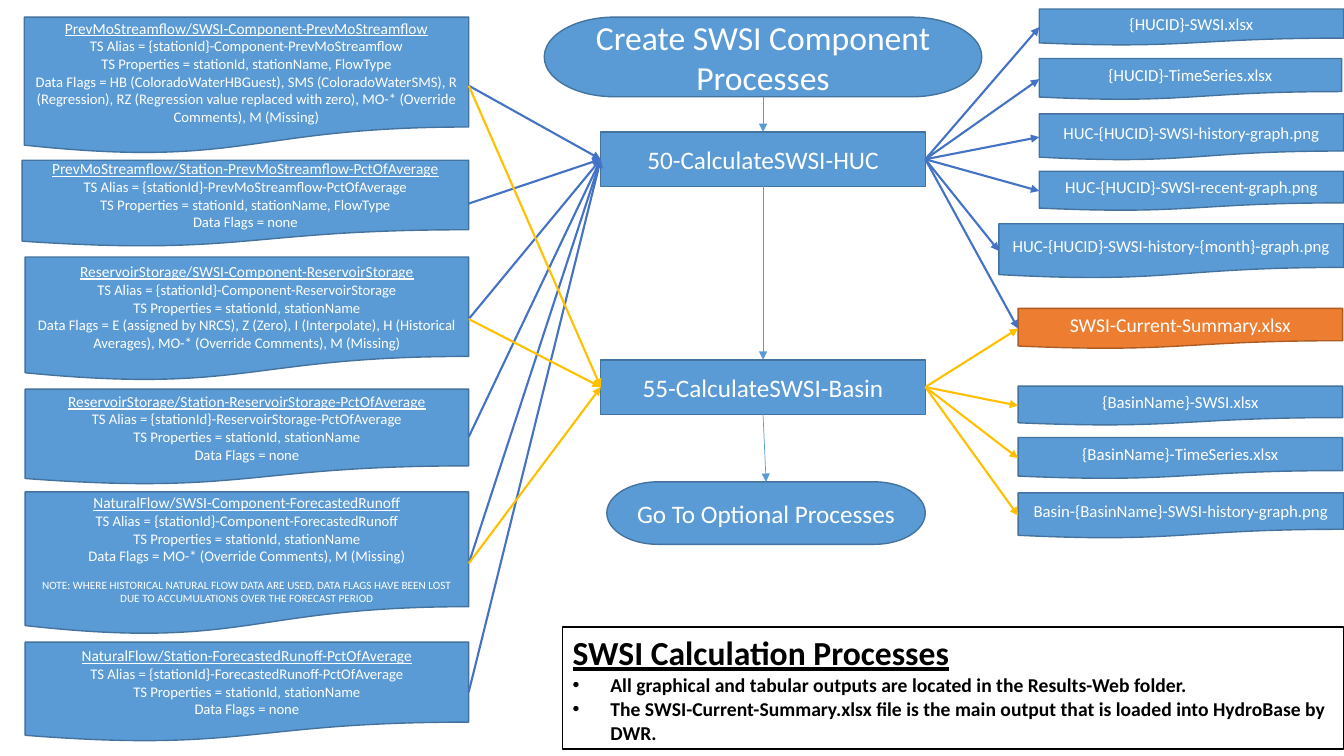
"""Build the SWSI calculation processes flow chart slide."""
from lxml.etree import SubElement
from pptx import Presentation
from pptx.dml.color import RGBColor
from pptx.enum.shapes import MSO_CONNECTOR as Connector, MSO_SHAPE as Shape
from pptx.enum.text import MSO_ANCHOR as Anchor, MSO_AUTO_SIZE as AutoSize, PP_ALIGN as Align
from pptx.oxml.ns import qn
from pptx.util import Inches, Pt

CELL = Inches(0.1)
COLUMNS, ROWS = 133.33, 75
BLUE, BLUE_EDGE = "5B9BD5", "43739E"
ORANGE, ORANGE_EDGE = "ED7D31", "AF5C24"
HUC_LINK, BASIN_LINK = "4472C4", "FFC000"
WHITE, BLACK = "FFFFFF", "000000"
TOP, LEFT, BOTTOM, RIGHT = range(4)


def paint(fill, color):
    fill.solid()
    fill.fore_color.rgb = RGBColor.from_string(color)


def write(para, text, color, align, **formats):
    para.alignment = align
    span = para.add_run()
    span.text = text
    paint(span.font.fill, color)
    for name, value in {"name": "Calibri", **formats}.items():
        setattr(span.font, name, value)


deck = Presentation()
deck.slide_width, deck.slide_height = int(COLUMNS * CELL), ROWS * CELL
page = deck.slides.add_slide(deck.slide_layouts[1])

heading, notes = page.shapes.title, page.placeholders[1]
paint(heading.fill, WHITE)
paint(heading.line.fill, BLACK)
heading.line.width = Pt(1)
for holder, top, height in ((heading, 62.2, 12.1), (notes, 66.3, 8)):
    place = {"left": 55.8, "top": top, "width": 77.5, "height": height}
    for name, value in place.items():
        setattr(holder, name, int(value * CELL))
    frame = holder.text_frame
    for name, value in {"auto_size": AutoSize.NONE, "vertical_anchor": Anchor.TOP, "word_wrap": True}.items():
        setattr(frame, name, value)
write(heading.text_frame.paragraphs[0], "SWSI Calculation Processes", BLACK, Align.LEFT,
      size=Pt(24), bold=True, underline=True)
remarks = (
    "All graphical and tabular outputs are located in the Results-Web folder.",
    "The SWSI-Current-Summary.xlsx file is the main output that is loaded into HydroBase by DWR.",
)
for index, remark in enumerate(remarks):
    para = notes.text_frame.add_paragraph() if index else notes.text_frame.paragraphs[0]
    para.space_before = Pt(0)
    write(para, remark, BLACK, Align.LEFT, size=Pt(14), bold=True)

steps = [
    ("Create SWSI Component Processes", Shape.FLOWCHART_TERMINATOR, (54, 1.7, 43.4, 7.9), 24),
    ("50-CalculateSWSI-HUC", Shape.FLOWCHART_PROCESS, (59.6, 13.1, 32.2, 5.4), 18),
    ("55-CalculateSWSI-Basin", Shape.FLOWCHART_PROCESS, (59.6, 35.7, 32.2, 5.4), 18),
    ("Go To Optional Processes", Shape.FLOWCHART_TERMINATOR, (60.2, 47.8, 31.6, 6.2), 18),
]
start, huc, basin, finish = [step[0] for step in steps]

summary = "SWSI-Current-Summary.xlsx"
huc_outputs = {
    "{HUCID}-SWSI.xlsx": (103.1, 0.9, 30.2, 3.6),
    "{HUCID}-TimeSeries.xlsx": (103.1, 5.8, 30, 4.1),
    "HUC-{HUCID}-SWSI-history-graph.png": (103.1, 11.3, 30.2, 4.6),
    "HUC-{HUCID}-SWSI-recent-graph.png": (103.1, 17, 30.2, 3.9),
    "HUC-{HUCID}-SWSI-history-{month}-graph.png": (99.1, 22.2, 34.2, 5.4),
    summary: (101, 30.6, 32.2, 4),
}
basin_outputs = {
    summary: huc_outputs[summary],
    "{BasinName}-SWSI.xlsx": (101, 38.3, 32.2, 3.9),
    "{BasinName}-TimeSeries.xlsx": (101, 43.4, 32.2, 4.1),
    "Basin-{BasinName}-SWSI-history-graph.png": (101, 48.9, 32.3, 4.5),
}

note = ("NOTE: WHERE HISTORICAL NATURAL FLOW DATA ARE USED, DATA FLAGS HAVE BEEN LOST "
        "DUE TO ACCUMULATIONS OVER THE FORECAST PERIOD")
inputs = [
    ("PrevMoStreamflow", "SWSI-Component-PrevMoStreamflow", (2.4, 1.7, 44.1, 13.6),
     "HB (ColoradoWaterHBGuest), SMS (ColoradoWaterSMS), R (Regression), "
     "RZ (Regression value replaced with zero), MO-* (Override Comments), M (Missing)"),
    ("PrevMoStreamflow", "Station-PrevMoStreamflow-PctOfAverage", (2.2, 15.9, 44.3, 8.6), "none"),
    ("ReservoirStorage", "SWSI-Component-ReservoirStorage", (2.5, 25.5, 44, 12.3),
     "E (assigned by NRCS), Z (Zero), I (Interpolate), H (Historical Averages), "
     "MO-* (Override Comments), M (Missing)"),
    ("ReservoirStorage", "Station-ReservoirStorage-PctOfAverage", (2.5, 38.6, 44, 9.5), "none"),
    ("NaturalFlow", "SWSI-Component-ForecastedRunoff", (2.5, 48.8, 44, 14.2),
     "MO-* (Override Comments), M (Missing)"),
    ("NaturalFlow", "Station-ForecastedRunoff-PctOfAverage", (2.5, 63.7, 44, 9.9), "none"),
]

plans = [(name, kind, place, [(name, size)]) for name, kind, place, size in steps]
for name, place in {**huc_outputs, **basin_outputs}.items():
    plans.append((name, Shape.FLOWCHART_DOCUMENT, place, [(name, 14 if name == summary else 12)]))
for folder, name, place, flags in inputs:
    flow_type = ", FlowType" if folder == "PrevMoStreamflow" else ""
    lines = [
        (f"{folder}/{name}", 11),
        (f"TS Alias = {{stationId}}-{name.split('-', 1)[1]}", 10.5),
        (f"TS Properties = stationId, stationName{flow_type}", 10.5),
        (f"Data Flags = {flags}", 10.5),
    ]
    if name == "SWSI-Component-ForecastedRunoff":
        lines.append((note, 8))
    plans.append((name, Shape.FLOWCHART_DOCUMENT, place, lines))

boxes = {}
for name, kind, place, lines in plans:
    box = boxes[name] = page.shapes.add_shape(kind, *[int(value * CELL) for value in place])
    box.shadow.inherit = False
    paint(box.fill, ORANGE if name == summary else BLUE)
    paint(box.line.fill, ORANGE_EDGE if name == summary else BLUE_EDGE)
    box.line.width = Pt(1)
    frame = box.text_frame
    frame.word_wrap, frame.vertical_anchor = True, Anchor.MIDDLE
    for index, (text, size) in enumerate(lines):
        para = frame.add_paragraph() if index else frame.paragraphs[0]
        if text == note:
            para.space_before = Pt(9.75)
        write(para, text, WHITE, Align.CENTER, size=Pt(size), underline=len(lines) > 1 and index == 0)

sources = [name for _, name, _, _ in inputs]
links = [(*pair, BOTTOM, TOP, BLUE, 0.5) for pair in ((start, huc), (huc, basin), (basin, finish))]
links += [(name, huc, RIGHT, LEFT, HUC_LINK, 1.5) for name in sources]
links += [(name, basin, RIGHT, LEFT, BASIN_LINK, 1.5) for name in sources[::2]]
links += [(huc, name, RIGHT, LEFT, HUC_LINK, 1.5) for name in huc_outputs]
links += [(basin, name, RIGHT, LEFT, BASIN_LINK, 1.5) for name in basin_outputs]
for origin, target, leave, enter, color, width in links:
    arrow = page.shapes.add_connector(Connector.STRAIGHT, 0, 0, 0, 0)
    arrow.begin_connect(boxes[origin], leave)
    arrow.end_connect(boxes[target], enter)
    paint(arrow.line.fill, color)
    arrow.line.width = Pt(width)
    SubElement(arrow.line._get_or_add_ln(), qn("a:tailEnd"), type="triangle")
    SubElement(arrow._element.spPr, qn("a:effectLst"))

deck.save("out.pptx")
